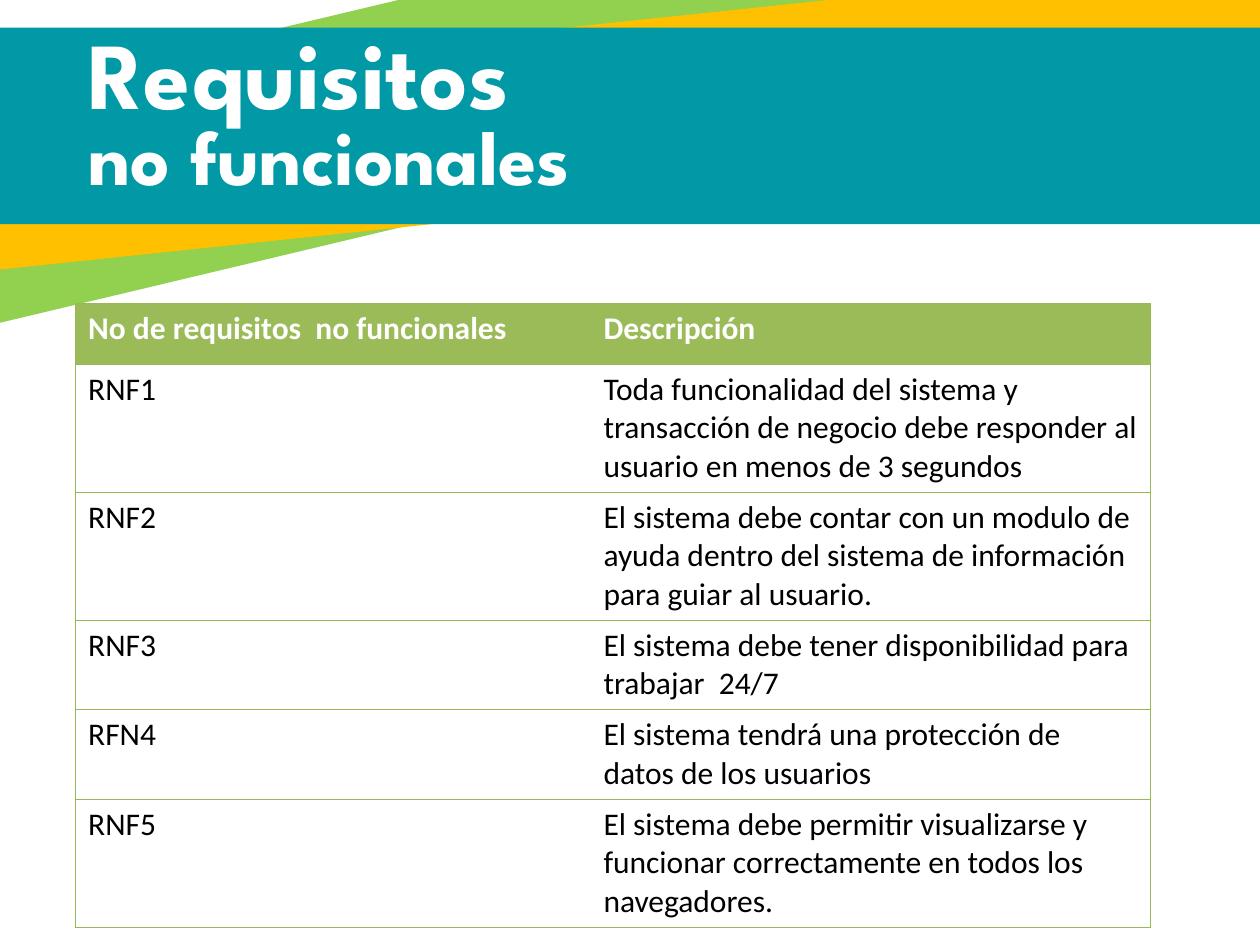
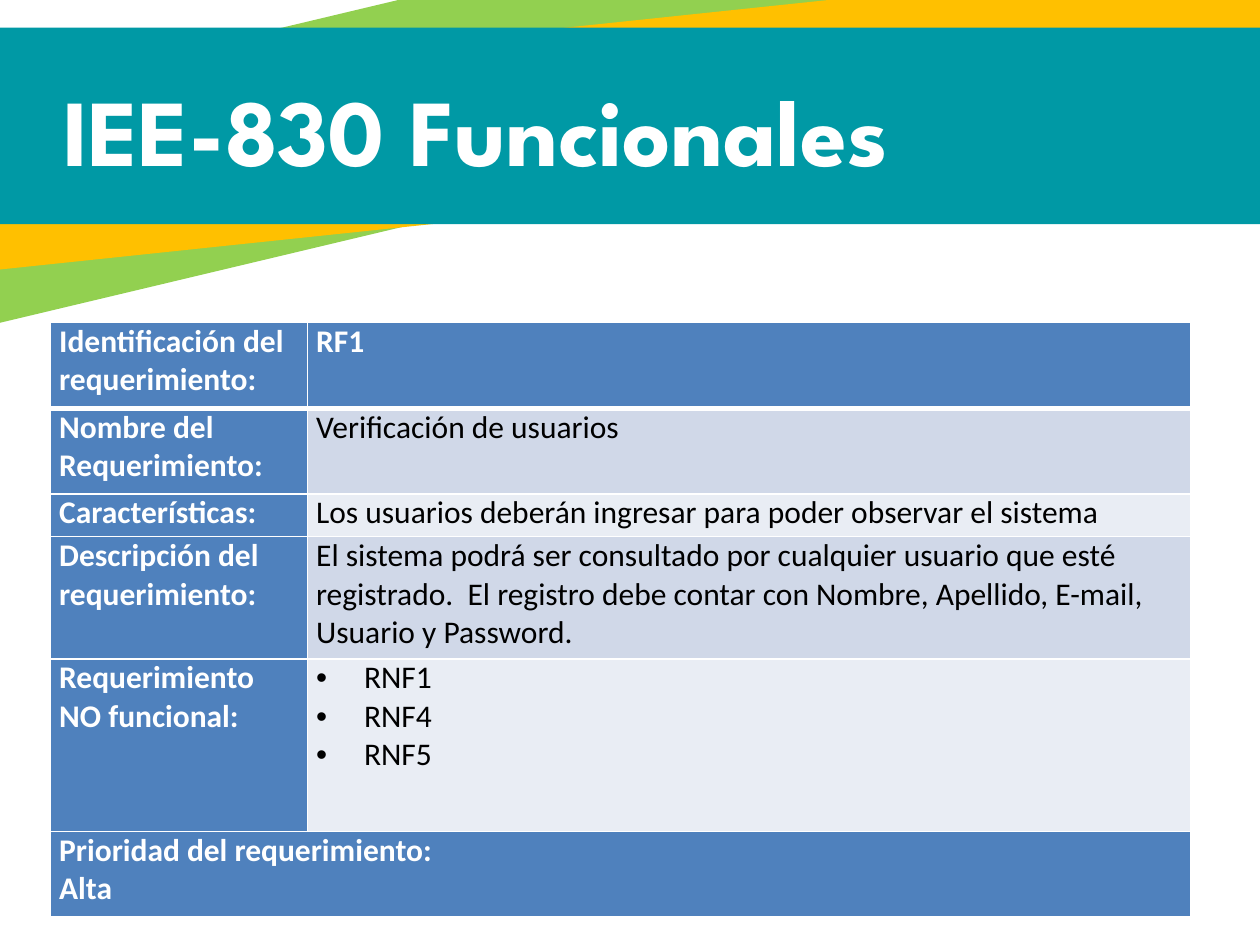
from lxml import etree
from pptx import Presentation
from pptx.dml.color import RGBColor
from pptx.enum import shapes, text
from pptx.oxml import ns
from pptx.util import Inches, Pt

GREEN, AMBER, TEAL = "92D050", "FFC000", "0099A5"
OLIVE, EDGE = "9BBB59", "98B955"
BLUE, DARK, PALE = "4F81BD", "D0D8E8", "E9EDF4"
WHITE, BLACK = "FFFFFF", "000000"
HEAD, BODY = "League Spartan", "Calibri"

# left, top, width, height, rotation, colour
BANDS = [
    (-2.51, -0.18, 13.06, 1.76, 346.6, GREEN),
    (-1.1, 0.2, 11.63, 1.44, 354, AMBER),
    (-1.06, 0.22, 11.63, 1.56, 0, TEAL),
]

NEEDS = [
    ("No de requisitos  no funcionales", "Descripción"),
    ("RNF1", "Toda funcionalidad del sistema y transacción de negocio "
             "debe responder al usuario en menos de 3 segundos"),
    ("RNF2", "El sistema debe contar con un modulo de ayuda dentro del "
             "sistema de información para guiar al usuario."),
    ("RNF3", "El sistema debe tener disponibilidad para trabajar  24/7"),
    ("RFN4", "El sistema tendrá una protección de datos de los usuarios"),
    ("RNF5", "El sistema debe permitir visualizarse y funcionar "
             "correctamente en todos los navegadores."),
]

# label, value, height, fill of the value
FORM = [
    ("Identificación del requerimiento:", "RF1", 0.68, BLUE),
    ("Nombre del Requerimiento:", "Verificación de usuarios", 0.68, DARK),
    ("Características:",
     "Los usuarios deberán ingresar para poder observar el sistema",
     0.34, PALE),
    ("Descripción del requerimiento:",
     "El sistema podrá ser consultado por cualquier usuario que esté "
     "registrado.  El registro debe contar con Nombre, Apellido, E-mail, "
     "Usuario y Password.", 0.97, DARK),
    ("Requerimiento NO funcional:", ["RNF1", "RNF4", "RNF5"], 1.37, PALE),
]
RANK = ["Prioridad del requerimiento:", "Alta"]


def tint(code):
    return RGBColor.from_string(code)


def add_run(para, words, size, face, color, bold):
    run = para.add_run()
    run.text = words
    font = run.font
    font.size, font.name, font.bold = Pt(size), face, bold
    font.color.rgb = tint(color)


def add_bands(slide, layout):
    """Draw the bands and hand them to the layout, below its slides' parts."""
    for *box, turn, color in BANDS:
        band = slide.shapes.add_shape(
            shapes.MSO_SHAPE.RECTANGLE, *map(Inches, box))
        band.rotation = turn
        band.shadow.inherit = False
        band.fill.solid()
        band.fill.fore_color.rgb = tint(color)
        band.line.fill.background()
        layout.shapes.element.append(band.element)


def set_head(shape, box, words, size):
    """Place a title shape and write its one line."""
    shape.left, shape.top, shape.width, shape.height = map(Inches, box)
    frame = shape.text_frame
    frame.word_wrap = True
    frame.auto_size = text.MSO_AUTO_SIZE.NONE
    frame.vertical_anchor = text.MSO_ANCHOR.MIDDLE
    para = frame.paragraphs[0]
    para.alignment = text.PP_ALIGN.LEFT
    add_run(para, words, size, HEAD, WHITE, True)


def add_grid(slide, left, top, cols, rows):
    """Add a table without banding, from column widths and row heights."""
    frame = slide.shapes.add_table(
        len(rows), len(cols), Inches(left), Inches(top),
        Inches(sum(cols)), Inches(sum(rows)))
    grid = frame.table
    grid.first_row = grid.horz_banding = False
    for col, width in zip(grid.columns, cols):
        col.width = Inches(width)
    for row, height in zip(grid.rows, rows):
        row.height = Inches(height)
    return grid


def set_edges(cell, color, widths):
    """Set the borders L, R, T, B in points; 0 hides one."""
    props = cell._tc.get_or_add_tcPr()
    for side, width in zip("LRTB", widths):
        line = etree.SubElement(props, ns.qn(f"a:ln{side}"),
                                w=str(int(Pt(width))))
        if width:
            fill = etree.SubElement(line, ns.qn("a:solidFill"))
            etree.SubElement(fill, ns.qn("a:srgbClr"), val=color)
        else:
            etree.SubElement(line, ns.qn("a:noFill"))


def set_cell(cell, lines, color, bold, fill=None, dots=False):
    if fill:
        cell.fill.solid()
        cell.fill.fore_color.rgb = tint(fill)
    else:
        cell.fill.background()
    frame = cell.text_frame
    for num, words in enumerate(lines):
        para = frame.add_paragraph() if num else frame.paragraphs[0]
        if dots:
            props = para._p.get_or_add_pPr()
            gap = int(Inches(0.38))
            props.set("marL", str(gap))
            props.set("indent", str(-gap))
            etree.SubElement(props, ns.qn("a:buFont"), typeface="Arial")
            etree.SubElement(props, ns.qn("a:buChar"), char="•")
        add_run(para, words, 18, BODY, color, bold)


def add_needs(slide, left, top):
    """Table of non-functional requirements."""
    grid = add_grid(slide, left, top, [4.09, 4.44],
                    [0.48, 1, 1, 0.7, 0.7, 1])
    for r, row in enumerate(NEEDS):
        head = r == 0
        for c, words in enumerate(row):
            cell = grid.cell(r, c)
            sides = (0.75, 0) if c == 0 else (0, 0.75)
            set_edges(cell, EDGE, (*sides, 0.75, 0.75))
            set_cell(cell, [words], WHITE if head else BLACK, head,
                     OLIVE if head else None)


def add_form(slide, left, top):
    """Form with one labelled row per field and a merged last row."""
    heights = [row[2] for row in FORM] + [0.68]
    grid = add_grid(slide, left, top, [2.04, 7.01], heights)
    last = len(FORM)
    for r in range(last + 1):
        for c in range(2):
            cell = grid.cell(r, c)
            cell.margin_left = cell.margin_right = Inches(0.07)
            cell.margin_top = cell.margin_bottom = 0
            set_edges(cell, WHITE, (1, 1, 3 if r == 1 else 1,
                                    3 if r == 0 else 1))
    for r, (label, value, _, fill) in enumerate(FORM):
        set_cell(grid.cell(r, 0), [label], WHITE, True, BLUE)
        head, dots = fill == BLUE, isinstance(value, list)
        set_cell(grid.cell(r, 1), value if dots else [value],
                 WHITE if head else BLACK, head, fill, dots)
    grid.cell(last, 0).merge(grid.cell(last, 1))
    set_cell(grid.cell(last, 0), RANK, WHITE, True, BLUE)


def build_needs(slide):
    add_needs(slide, 0.6, 2.41)
    set_head(slide.shapes.title, (0.6, 0.33, 5.45, 0.48), "Requisitos", 54)
    box = slide.shapes.add_textbox(0, 0, 0, 0)
    set_head(box, (0.6, 0.99, 4.68, 0.48), "no funcionales", 44)


def build_form(slide):
    set_head(slide.shapes.title, (0.4, 0.5, 9.71, 1.05),
             "IEE-830 Funcionales", 54)
    add_form(slide, 0.4, 2.56)


def main():
    deck = Presentation()
    deck.slide_width, deck.slide_height = Inches(10), Inches(7.5)
    layout = deck.slide_layouts.get_by_name("Title Only")
    for holder in list(layout.placeholders)[1:]:
        layout.shapes.element.remove(holder.element)
    first = deck.slides.add_slide(layout)
    add_bands(first, layout)
    build_needs(first)
    build_form(deck.slides.add_slide(layout))
    deck.save("out.pptx")


if __name__ == "__main__":
    main()
